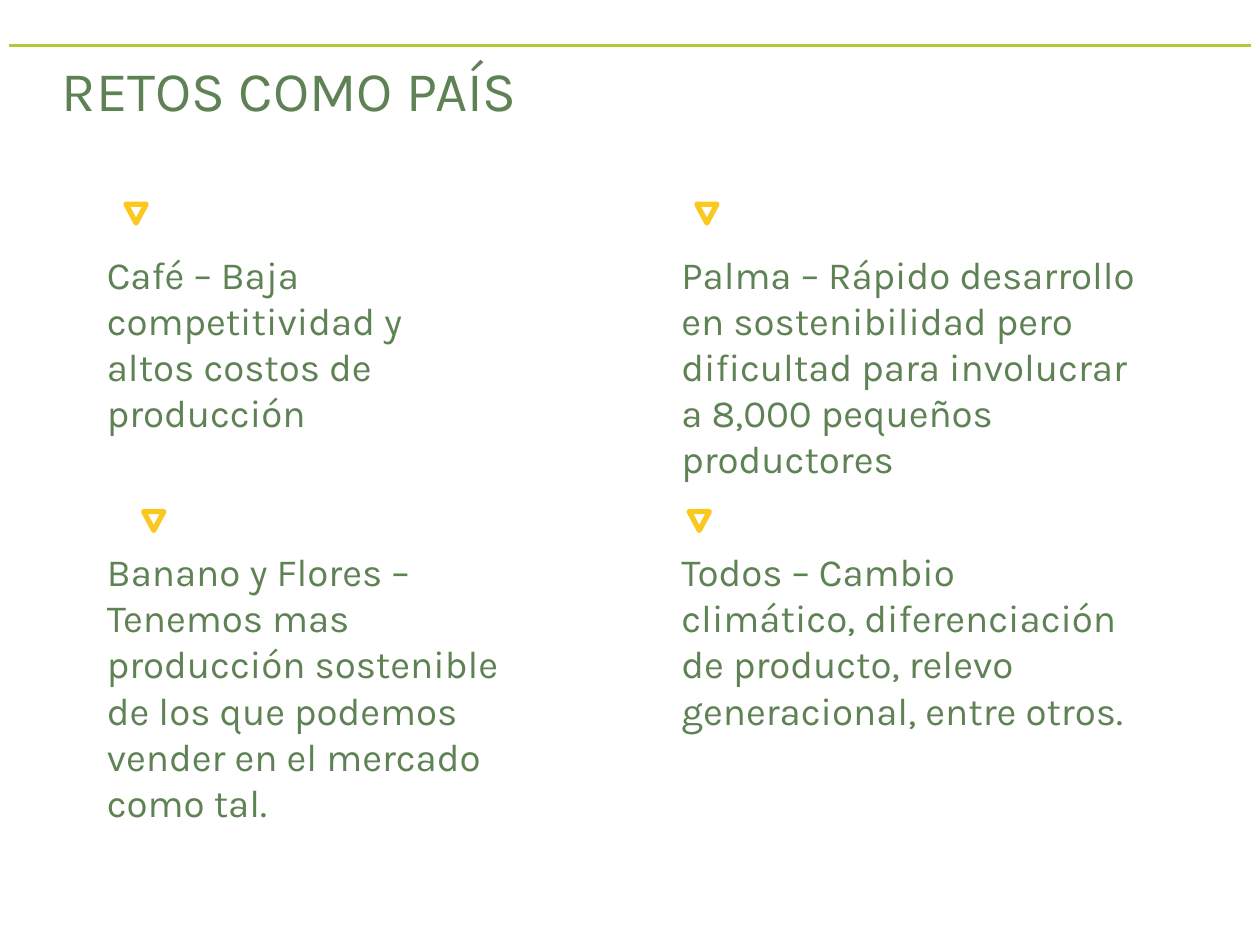
from lxml.etree import SubElement
from pptx import Presentation
from pptx.dml.color import RGBColor
from pptx.enum.shapes import MSO_CONNECTOR as Conn, MSO_SHAPE as Kind
from pptx.enum.text import MSO_ANCHOR as Anchor, MSO_AUTO_SIZE as Auto, PP_ALIGN as Align
from pptx.oxml.ns import qn
from pptx.util import Inches, Pt

GREEN = RGBColor(0x5F, 0x82, 0x55)
LIME = RGBColor(0xB4, 0xC8, 0x37)
GOLD = RGBColor(0xFA, 0xC8, 0x1E)
FONT = "Karla"

# Columns and rows of the grid
COLS = (0.75, 5.31)
ROWS = (1.94, 4.3)
MARKS = (1.62, 4.06)

# Column, row, width, height, left of mark, text
ITEMS = [
    (0, 0, 3.27, 1.51, 1, "Café – Baja competitividad y altos costos de producción"),
    (1, 0, 3.86, 1.95, 5.53, "Palma – Rápido desarrollo en sostenibilidad pero dificultad "
                             "para involucrar a 8,000 pequeños productores"),
    (0, 1, 3.35, 2.32, 1.14, "Banano y Flores – Tenemos mas producción sostenible de los que "
                             "podemos vender en el mercado como tal."),
    (1, 1, 3.78, 1.88, 5.47, "Todos – Cambio climático, diferenciación de producto, relevo "
                             "generacional, entre otros."),
]


def write(frame, text, size):
    frame.word_wrap = True
    frame.auto_size = Auto.NONE
    frame.vertical_anchor = Anchor.TOP
    para = frame.paragraphs[0]
    para.alignment = Align.LEFT
    para.line_spacing = 1.0
    para.space_before = Pt(0)
    run = para.add_run()
    run.text = text
    run.font.name = FONT
    run.font.size = Pt(size)
    run.font.color.rgb = GREEN


def add_rule(slide):
    rule = slide.shapes.add_connector(
        Conn.STRAIGHT, Inches(0.07), Inches(0.36), Inches(9.93), Inches(0.36))
    rule.line.color.rgb = LIME
    rule.line.width = Pt(2)
    SubElement(rule._element.spPr, qn("a:effectLst"))


def add_title(slide, text):
    title = slide.shapes.title
    title.left, title.top = Inches(0.39), Inches(0.39)
    title.width, title.height = Inches(7.6), Inches(0.64)
    write(title.text_frame, text, 32)


def add_mark(slide, left, top):
    mark = slide.shapes.add_shape(
        Kind.ISOSCELES_TRIANGLE, Inches(left), Inches(top), Inches(0.16), Inches(0.15))
    mark.rotation = 180
    mark.shadow.inherit = False
    mark.fill.background()
    mark.line.color.rgb = GOLD
    mark.line.width = Pt(3)
    # Rounded corners
    SubElement(mark.line._get_or_add_ln(), qn("a:round"))


def add_item(slide, col, row, width, height, mark, text):
    add_mark(slide, mark, MARKS[row])
    box = slide.shapes.add_textbox(
        Inches(COLS[col]), Inches(ROWS[row]), Inches(width), Inches(height))
    write(box.text_frame, text, 22)


def main():
    deck = Presentation()
    deck.slide_width, deck.slide_height = Inches(10), Inches(7.5)
    slide = deck.slides.add_slide(deck.slide_layouts[5])
    add_rule(slide)
    add_title(slide, "RETOS COMO PAÍS")
    for item in ITEMS:
        add_item(slide, *item)
    deck.save("out.pptx")


if __name__ == "__main__":
    main()
